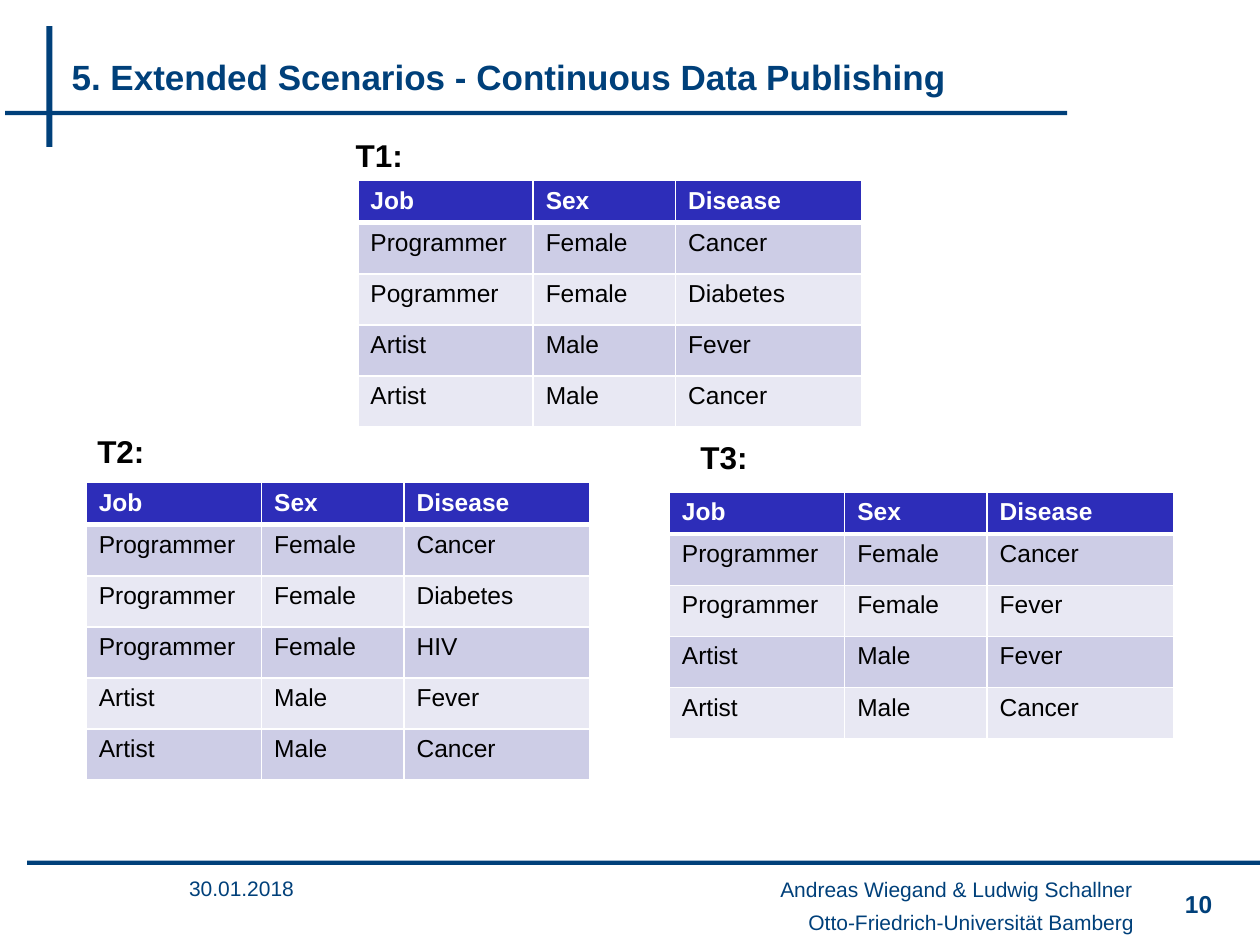
from lxml.etree import SubElement
from pptx import Presentation
from pptx.dml.color import RGBColor
from pptx.enum.shapes import MSO_SHAPE
from pptx.enum.text import MSO_ANCHOR as Anchor, PP_ALIGN as Align
from pptx.oxml.ns import qn
from pptx.util import Pt

COLORS = {
    "navy": "00407A",
    "header": "2D2DB9",
    "odd_row": "CDCDE6",
    "even_row": "E8E8F3",
    "white": "FFFFFF",
    "black": "000000",
}
FONT = "Arial"
HEADINGS = ("Job", "Sex", "Disease")
COLUMN_WIDTHS = (100.2, 81.4, 106.4)
HEADER_HEIGHT, ROW_HEIGHT = 23.2, 29.2
FOOTER_INSETS = (2.9, 3.6, 1.4, 3.6)
BOX_INSETS = (7.2, 3.6, 7.2, 3.6)

RULES = [(26.6, 15, 3.4, 69), (2.9, 63.4, 607, 2.4), (15.6, 491.8, 704.4, 2.4)]

# Label, label position, table position, records
TABLES = [
    ("T1:", (167, 74.2), (204.5, 103.2), [
        ("Programmer", "Female", "Cancer"),
        ("Pogrammer", "Female", "Diabetes"),
        ("Artist", "Male", "Fever"),
        ("Artist", "Male", "Cancer"),
    ]),
    ("T2:", (19.4, 243.2), (49.3, 275.8), [
        ("Programmer", "Female", "Cancer"),
        ("Programmer", "Female", "Diabetes"),
        ("Programmer", "Female", "HIV"),
        ("Artist", "Male", "Fever"),
        ("Artist", "Male", "Cancer"),
    ]),
    ("T3:", (364, 247), (382.5, 281.2), [
        ("Programmer", "Female", "Cancer"),
        ("Programmer", "Female", "Fever"),
        ("Artist", "Male", "Fever"),
        ("Artist", "Male", "Cancer"),
    ]),
]


def rgb(color):
    return RGBColor.from_string(COLORS[color])


def write(frame, text, *, size=12, color="navy", bold=False, align=Align.LEFT):
    paragraph = frame.paragraphs[0]
    paragraph.alignment = align
    run = paragraph.add_run()
    run.text = text
    run.font.name = FONT
    run.font.size = Pt(size)
    run.font.bold = bold
    run.font.color.rgb = rgb(color)


def add_text(slide, text, box, *, anchor=Anchor.MIDDLE, insets=BOX_INSETS,
             wrap=True, **text_format):
    frame = slide.shapes.add_textbox(*map(Pt, box)).text_frame
    frame.word_wrap = wrap
    frame.vertical_anchor = anchor
    (frame.margin_left, frame.margin_top,
     frame.margin_right, frame.margin_bottom) = map(Pt, insets)
    write(frame, text, **text_format)


def add_rule(slide, box):
    rule = slide.shapes.add_shape(MSO_SHAPE.RECTANGLE, *map(Pt, box))
    rule.shadow.inherit = False
    rule.fill.solid()
    rule.fill.fore_color.rgb = rgb("navy")
    rule.line.fill.background()


def set_borders(cell, top, bottom):
    """Draw white cell borders; must run before the fill is set."""
    properties = cell._tc.get_or_add_tcPr()
    for side, width in (("L", 1), ("R", 1), ("T", top), ("B", bottom)):
        border = SubElement(properties, qn(f"a:ln{side}"), w=str(Pt(width)))
        fill = SubElement(border, qn("a:solidFill"))
        SubElement(fill, qn("a:srgbClr"), val=COLORS["white"])


def add_records(slide, position, records):
    rows = [HEADINGS, *records]
    heights = [HEADER_HEIGHT] + [ROW_HEIGHT] * len(records)
    size = (sum(COLUMN_WIDTHS), sum(heights))
    table = slide.shapes.add_table(
        len(rows), len(HEADINGS), *map(Pt, (*position, *size))).table
    for column, width in zip(table.columns, COLUMN_WIDTHS):
        column.width = Pt(width)
    for r, (values, height) in enumerate(zip(rows, heights)):
        table.rows[r].height = Pt(height)
        is_header = r == 0
        fill = "header" if is_header else "odd_row" if r % 2 else "even_row"
        for c, value in enumerate(values):
            cell = table.cell(r, c)
            set_borders(cell, top=3 if r == 1 else 1, bottom=3 if is_header else 1)
            cell.fill.solid()
            cell.fill.fore_color.rgb = rgb(fill)
            write(cell.text_frame, value, size=14, bold=is_header,
                  color="white" if is_header else "black")


def add_footer(slide):
    add_text(slide, "30.01.2018", (105.1, 488.9, 102.2, 37.4),
             insets=FOOTER_INSETS)
    add_text(slide, "Andreas Wiegand & Ludwig Schallner",
             (216.7, 496.8, 432, 23), insets=FOOTER_INSETS, align=Align.RIGHT)
    add_text(slide, "Otto-Friedrich-Universität Bamberg",
             (156.2, 514.1, 493.2, 25.9), insets=FOOTER_INSETS, align=Align.RIGHT)
    add_text(slide, "10", (662.4, 504.7, 37.4, 25.9), anchor=Anchor.TOP,
             size=14, bold=True, align=Align.RIGHT)


def main():
    deck = Presentation()
    deck.slide_width, deck.slide_height = Pt(720), Pt(540)
    slide = deck.slides.add_slide(deck.slide_layouts[6])

    for rule in RULES:
        add_rule(slide, rule)
    add_text(slide, "5. Extended Scenarios - Continuous Data Publishing",
             (33.8, 21.2, 620.6, 45.4), size=20, bold=True, wrap=False)
    for label, label_position, table_position, records in TABLES:
        add_records(slide, table_position, records)
        add_text(slide, label, (*label_position, 99.4, 29), anchor=Anchor.TOP,
                 size=18, color="black", bold=True, align=Align.CENTER)
    add_footer(slide)
    deck.save("out.pptx")


if __name__ == "__main__":
    main()
